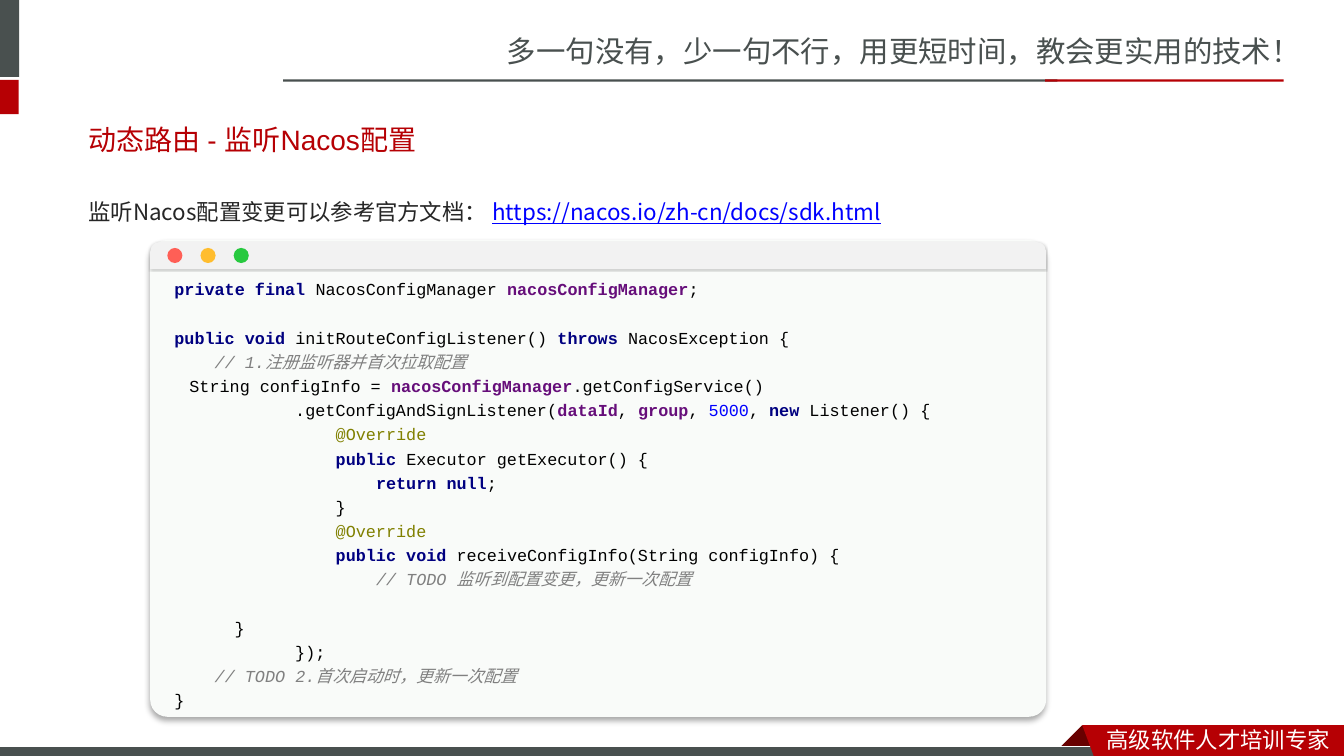
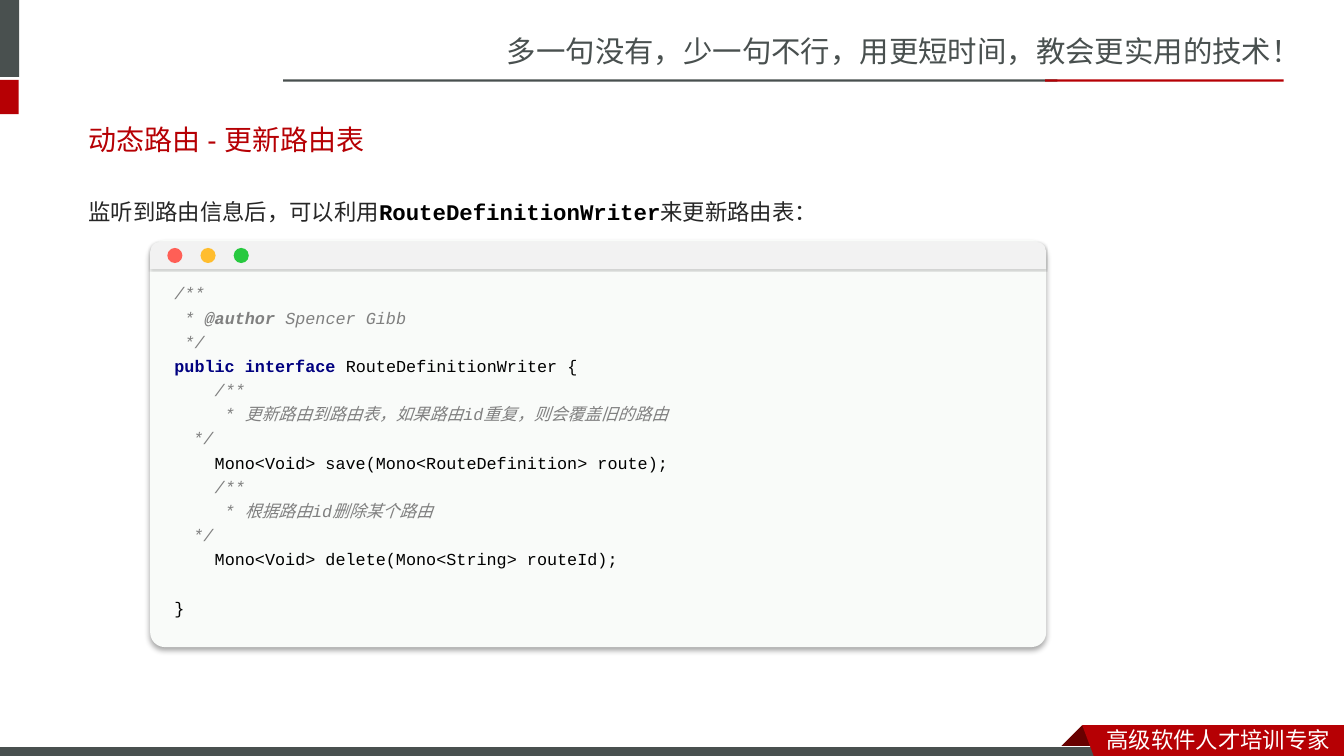
from copy import deepcopy

from lxml import etree
from pptx import Presentation
from pptx import util as u
from pptx.dml import color
from pptx.enum import shapes, text
from pptx.oxml import ns

Pt = u.Pt
GREY, RED, DARK_RED, WHITE = "49504F", "B60004", "680000", "FFFFFF"
CJK, CJK_BODY, SANS, MONO = "Noto Sans CJK SC", "Noto Sans CJK JP", "Arial", "Courier New"

# Run styles: font, size, colour, bold, italic, underline
STYLES = {
    "slogan": (CJK, 21, GREY, False, False, False),
    "ribbon": (CJK, 16, WHITE, False, False, False),
    "title": (SANS, 20, RED, False, False, False),
    "body": (CJK_BODY, 16, "262626", False, False, False),
    "address": (CJK_BODY, 16, "0000FF", False, False, True),
    "class": (MONO, 16, "000000", True, False, False),
    "code": (MONO, 12, "000000", False, False, False),
    "keyword": (MONO, 12, "000080", True, False, False),
    "field": (MONO, 12, "660E7A", True, False, False),
    "number": (MONO, 12, "0000FF", False, False, False),
    "marker": (MONO, 12, "808000", False, False, False),
    "comment": (MONO, 12, "808080", False, True, False),
    "tag": (MONO, 12, "808080", True, True, False),
}

LISTENER_CODE = [
    ("keyword", "private final "), ("code", "NacosConfigManager "),
    ("field", "nacosConfigManager"), ("code", ";\n\n"),
    ("keyword", "public void "), ("code", "initRouteConfigListener() "),
    ("keyword", "throws "), ("code", "NacosException {\n    "),
    ("comment", "// 1.注册监听器并首次拉取配置\n    "),
    ("code", "String configInfo = "), ("field", "nacosConfigManager"),
    ("code", ".getConfigService()\n            .getConfigAndSignListener("),
    ("field", "dataId"), ("code", ", "), ("field", "group"), ("code", ", "),
    ("number", "5000"), ("code", ", "), ("keyword", "new "),
    ("code", "Listener() {\n                "),
    ("marker", "@Override\n                "),
    ("keyword", "public "), ("code", "Executor getExecutor() {\n                    "),
    ("keyword", "return null"), ("code", ";\n                }\n                "),
    ("marker", "@Override\n                "),
    ("keyword", "public void "),
    ("code", "receiveConfigInfo(String configInfo) {\n                    "),
    ("comment", "// TODO 监听到配置变更，更新一次配置\n\n"),
    ("code", "                }\n            });\n    "),
    ("comment", "// TODO 2.首次启动时，更新一次配置\n"), ("code", "}"),
]

WRITER_CODE = [
    ("comment", "/**\n * "), ("tag", "@author "), ("comment", "Spencer Gibb\n */\n"),
    ("keyword", "public interface "), ("code", "RouteDefinitionWriter {\n    "),
    ("comment", "/**\n     * 更新路由到路由表，如果路由id重复，则会覆盖旧的路由\n     */\n    "),
    ("code", "Mono<Void> save(Mono<RouteDefinition> route);\n    "),
    ("comment", "/**\n     * 根据路由id删除某个路由\n     */\n    "),
    ("code", "Mono<Void> delete(Mono<String> routeId);\n\n}"),
]


def rgb(value):
    return color.RGBColor.from_string(value)


def points(*values):
    return [Pt(value) for value in values]


def style_span(span, style):
    font = span.font
    font.name, size, shade, font.bold, font.italic, font.underline = STYLES[style]
    font.size = Pt(size)
    font.color.rgb = rgb(shade)
    east = etree.SubElement(span._r.get_or_add_rPr(), ns.qn("a:ea"))
    east.set("typeface", font.name if font.name.startswith("Noto") else CJK)


def write(para, spans):
    """Add styled spans; a newline becomes a line break of the same style."""
    for style, words in spans:
        for index, line in enumerate(words.split("\n")):
            span = para.add_run()
            span.text = line
            style_span(span, style)
            if index:
                para.add_line_break()
                line_break = para._p[-1]
                line_break.append(deepcopy(span._r.rPr))
                span._r.addprevious(line_break)
            if not line:
                para._p.remove(span._r)


def add_text(parent, place, spans, spacing=1.0):
    box = parent.add_textbox(*points(*place))
    frame = box.text_frame
    frame.word_wrap = True
    para = frame.paragraphs[0]
    para.line_spacing = spacing
    write(para, spans)
    return box


def paint(shape, fill, line=None):
    shape.shadow.inherit = False
    shape.fill.solid()
    shape.fill.fore_color.rgb = rgb(fill)
    if line:
        shape.line.color.rgb = rgb(line)
        shape.line.width = Pt(0.75)
    else:
        shape.line.fill.background()
    return shape


def add_shape(parent, kind, place, fill, line=None):
    return paint(parent.add_shape(kind, *points(*place)), fill, line)


def add_outline(parent, corners, fill):
    builder = parent.build_freeform(*corners[0], scale=Pt(1))
    builder.add_line_segments(corners[1:], close=True)
    return paint(builder.convert_to_shape(), fill)


def cast_shadow(shape, opacity, blur, distance):
    effects = shape._element.spPr.find(ns.qn("a:effectLst"))
    shadow = etree.SubElement(effects, ns.qn("a:outerShdw"), blurRad=str(Pt(blur)),
                              dist=str(Pt(distance)), dir="5400000", algn="t", rotWithShape="0")
    shade = etree.SubElement(shadow, ns.qn("a:srgbClr"), val="000000")
    etree.SubElement(shade, ns.qn("a:alpha"), val=str(opacity * 1000))


def frame_parts(parent):
    """Slogan, side bands, rules and footer ribbon."""
    bar = shapes.MSO_SHAPE.RECTANGLE
    return [
        add_text(parent, (355, 20, 605, 34), [("slogan", "多一句没有，少一句不行，用更短时间，教会更实用的技术！")]),
        add_shape(parent, bar, (-4, 0, 17.7, 55), GREY),
        add_shape(parent, bar, (-4, 57, 17.3, 24.5), RED),
        add_shape(parent, bar, (202.3, 56.7, 553, 1.6), GREY),
        add_shape(parent, bar, (746.6, 56.7, 170.4, 1.6), RED),
        add_outline(parent, [(772.6, 518.4), (788.4, 534.2), (787.7, 535),
                             (757.4, 535), (756.7, 534.2)], DARK_RED),
        add_shape(parent, bar, (-0.7, 533.5, 792, 8.6), GREY, WHITE),
        add_outline(parent, [(772.6, 518.4), (960, 518.4), (960, 542.9), (782, 542.2)], RED),
        add_text(parent, (783.4, 514.8, 176.6, 26.6), [("ribbon", "高级软件人才培训专家")]),
    ]


def share_frame(layout, page):
    """Move the common parts to the layout, so every page inherits them."""
    for holder in list(layout.placeholders):
        if holder.placeholder_format.type != shapes.PP_PLACEHOLDER.TITLE:
            layout.shapes.element.remove(holder.element)
    for part in frame_parts(page.shapes):
        layout.shapes.element.append(part.element)


def set_title(page, words):
    title = page.shapes.title
    title.left, title.top, title.width, title.height = points(56.2, 77.5, 470, 44)
    frame = title.text_frame
    frame.auto_size = text.MSO_AUTO_SIZE.NONE
    frame.vertical_anchor = text.MSO_ANCHOR.MIDDLE
    frame.text = words
    para = frame.paragraphs[0]
    para.alignment = text.PP_ALIGN.LEFT
    style_span(para.runs[0], "title")


def code_window(page, left, top, width, height, code, code_top):
    window = page.shapes.add_group_shape().shapes
    # Panel and code
    panel = add_shape(window, shapes.MSO_SHAPE.ROUNDED_RECTANGLE,
                      (left, top, width, height), "F9FBF9")
    panel.adjustments[0] = 0.036
    cast_shadow(panel, 34, 4, 3)
    listing = add_text(window, (left, top + code_top, width, height - code_top), code, 1.2)
    listing.text_frame.margin_left = listing.text_frame.margin_right = Pt(17.3)
    # Title bar with three buttons
    header = add_shape(window, shapes.MSO_SHAPE.ROUND_2_SAME_RECTANGLE,
                       (left, top + 1.4, width, 19.4), "F2F2F2")
    header.adjustments[0] = 0.36
    cast_shadow(header, 20, 1, 1)
    for index, fill in enumerate(("FF5F56", "FFBD2E", "27C93F")):
        add_shape(window, shapes.MSO_SHAPE.OVAL,
                  (left + 12.2 + 23.7 * index, top + 5.7, 10.8, 10.8), fill)


def code_page(page, title, lead, code, height, code_top):
    set_title(page, title)
    add_text(page.shapes, (56.2, 128.2, 842, 42), lead, 1.5)
    code_window(page, 107.3, 171.4, 640, height, code, code_top)


def main():
    deck = Presentation()
    deck.slide_width, deck.slide_height = points(960, 540)
    layout = deck.slide_layouts[5]
    first, second = [deck.slides.add_slide(layout) for _ in range(2)]
    share_frame(layout, first)
    code_page(first, "动态路由 - 监听Nacos配置",
              [("body", "监听Nacos配置变更可以参考官方文档： "),
               ("address", "https://nacos.io/zh-cn/docs/sdk.html")],
              LISTENER_CODE, 340.6, 21.6)
    code_page(second, "动态路由 - 更新路由表",
              [("body", "监听到路由信息后，可以利用"), ("class", "RouteDefinitionWriter"),
               ("body", "来更新路由表：")],
              WRITER_CODE, 290.8, 24.5)
    deck.save("out.pptx")


if __name__ == "__main__":
    main()
